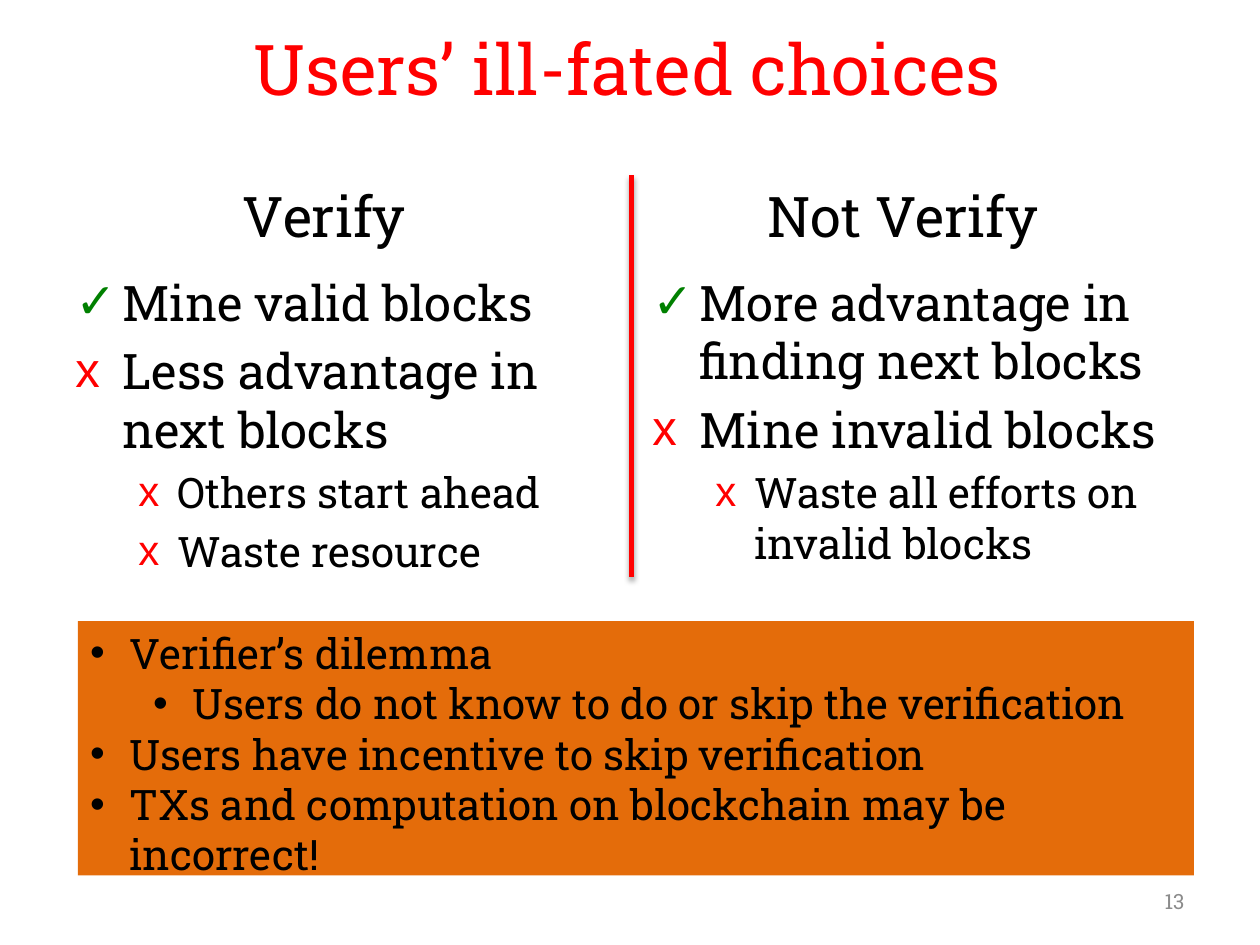
from dataclasses import dataclass

from lxml.etree import SubElement
from pptx import Presentation
from pptx.dml.color import RGBColor
from pptx.enum.shapes import MSO_CONNECTOR as Connector, MSO_SHAPE as Preset
from pptx.enum.text import MSO_ANCHOR as Anchor, PP_ALIGN as Align
from pptx.oxml.ns import qn
from pptx.util import Cm, Pt

FONT = "Roboto Slab"
BLACK, RED, GREEN, ORANGE, GREY = "000000", "FF0000", "008000", "E46C0A", "8C8C8C"


@dataclass(frozen=True)
class Bullet:
    """A bullet sign with its colour and indents in centimetres."""
    sign: str
    color: str
    margin: float
    hanging: float


@dataclass(frozen=True)
class Line:
    """One paragraph of text with its look."""
    text: str
    size: float
    color: str = BLACK
    align: Align = Align.LEFT
    bullet: Bullet | None = None
    level: int = 0
    before: float = 0


@dataclass(frozen=True)
class Choice:
    """One column: a heading and its points."""
    heading: str
    heading_left: float
    points_left: float
    points: tuple[Line, ...]


def rgb(color: str) -> RGBColor:
    """Turn a hex string into a colour."""
    return RGBColor.from_string(color)


def apply(target, **values) -> None:
    """Set each given format value on the target."""
    for name, value in values.items():
        setattr(target, name, value)


def add_bullet(paragraph, bullet: Bullet) -> None:
    """Give a paragraph a coloured bullet and a hanging indent."""
    props = paragraph._p.get_or_add_pPr()
    props.set("marL", str(Cm(bullet.margin)))
    props.set("indent", str(-Cm(bullet.hanging)))
    tint = SubElement(props, qn("a:buClr"))
    SubElement(tint, qn("a:srgbClr"), val=bullet.color)
    SubElement(props, qn("a:buFont"), typeface="Arial")
    SubElement(props, qn("a:buChar"), char=bullet.sign)


def write(frame, lines: tuple[Line, ...], anchor: Anchor = Anchor.TOP) -> None:
    """Fill a text frame with paragraphs."""
    apply(frame, word_wrap=True, vertical_anchor=anchor)
    for index, line in enumerate(lines):
        paragraph = frame.add_paragraph() if index else frame.paragraphs[0]
        apply(paragraph, alignment=line.align, level=line.level, space_before=Pt(line.before))
        if line.bullet:
            add_bullet(paragraph, line.bullet)
        run = paragraph.add_run()
        run.text = line.text
        apply(run.font, name=FONT, size=Pt(line.size))
        run.font.color.rgb = rgb(line.color)


def add_text(slide, box: tuple[float, ...], *lines: Line, anchor: Anchor = Anchor.TOP) -> None:
    """Add a text box, its place given in centimetres."""
    write(slide.shapes.add_textbox(*map(Cm, box)).text_frame, lines, anchor)


def add_divider(slide, x: float, top: float, bottom: float) -> None:
    """Add the red upright line with its soft shadow."""
    divider = slide.shapes.add_connector(Connector.STRAIGHT, Cm(x), Cm(top), Cm(x), Cm(bottom))
    divider.line.width = Pt(3)
    divider.line.color.rgb = rgb(RED)
    effects = SubElement(divider._element.spPr, qn("a:effectLst"))
    shadow = SubElement(effects, qn("a:outerShdw"), blurRad=str(Pt(3.1)), dist=str(Pt(1.8)),
                        dir="5400000", rotWithShape="0")
    shade = SubElement(shadow, qn("a:srgbClr"), val=BLACK)
    SubElement(shade, qn("a:alpha"), val="35000")


def add_panel(slide, box: tuple[float, ...], *lines: Line) -> None:
    """Add the orange panel of conclusions."""
    panel = slide.shapes.add_shape(Preset.RECTANGLE, *map(Cm, box))
    panel.shadow.inherit = False
    panel.fill.solid()
    panel.fill.fore_color.rgb = rgb(ORANGE)
    panel.line.fill.background()
    write(panel.text_frame, lines)


def point(text: str, sign: str, color: str) -> Line:
    """Make a main point of a column."""
    return Line(text, 28, bullet=Bullet(sign, color, 0.95, 0.95), before=5.6)


def pro(text: str) -> Line:
    """Make a point in favour."""
    return point(text, "✓", GREEN)


def con(text: str) -> Line:
    """Make a point against."""
    return point(text, "x", RED)


def detail(text: str) -> Line:
    """Make a smaller point against."""
    return Line(text, 24, bullet=Bullet("x", RED, 2.06, 0.79), level=1, before=4.8)


def finding(text: str, level: int = 0) -> Line:
    """Make a conclusion for the panel."""
    return Line(text, 24, bullet=Bullet("•", BLACK, 0.79 + 1.27 * level, 0.79), level=level)


CHOICES = (
    Choice("Verify", 2.54, 1.27, (
        pro("Mine valid blocks"),
        con("Less advantage in next blocks"),
        detail("Others start ahead"),
        detail("Waste resource"),
    )),
    Choice("Not Verify", 14.2, 12.9, (
        pro("More advantage in finding next blocks"),
        con("Mine invalid blocks"),
        detail("Waste all efforts on invalid blocks"),
    )),
)
FINDINGS = (
    finding("Verifier’s dilemma"),
    finding("Users do not know to do or skip the verification", 1),
    finding("Users have incentive to skip verification"),
    finding("TXs and computation on blockchain may be incorrect!"),
)


def main() -> None:
    """Build the slide and save it."""
    deck = Presentation()
    apply(deck, slide_width=Cm(25.4), slide_height=Cm(19.05))
    slide = deck.slides.add_slide(deck.slide_layouts[6])
    add_text(slide, (1.22, 0.3, 22.86, 2.13),
             Line("Users’ ill-fated choices", 40, RED, Align.CENTER), anchor=Anchor.MIDDLE)
    for choice in CHOICES:
        add_text(slide, (choice.heading_left, 3.53, 8, 1.63),
                 Line(choice.heading, 32, align=Align.CENTER))
        add_text(slide, (choice.points_left, 5.36, 11.23, 6.27), *choice.points)
    add_divider(slide, 12.73, 3.53, 11.63)
    add_panel(slide, (1.57, 12.52, 22.5, 5.13), *FINDINGS)
    add_text(slide, (18.21, 17.65, 5.92, 1.02),
             Line("13", 12, GREY, Align.RIGHT), anchor=Anchor.MIDDLE)
    deck.save("out.pptx")


main()
